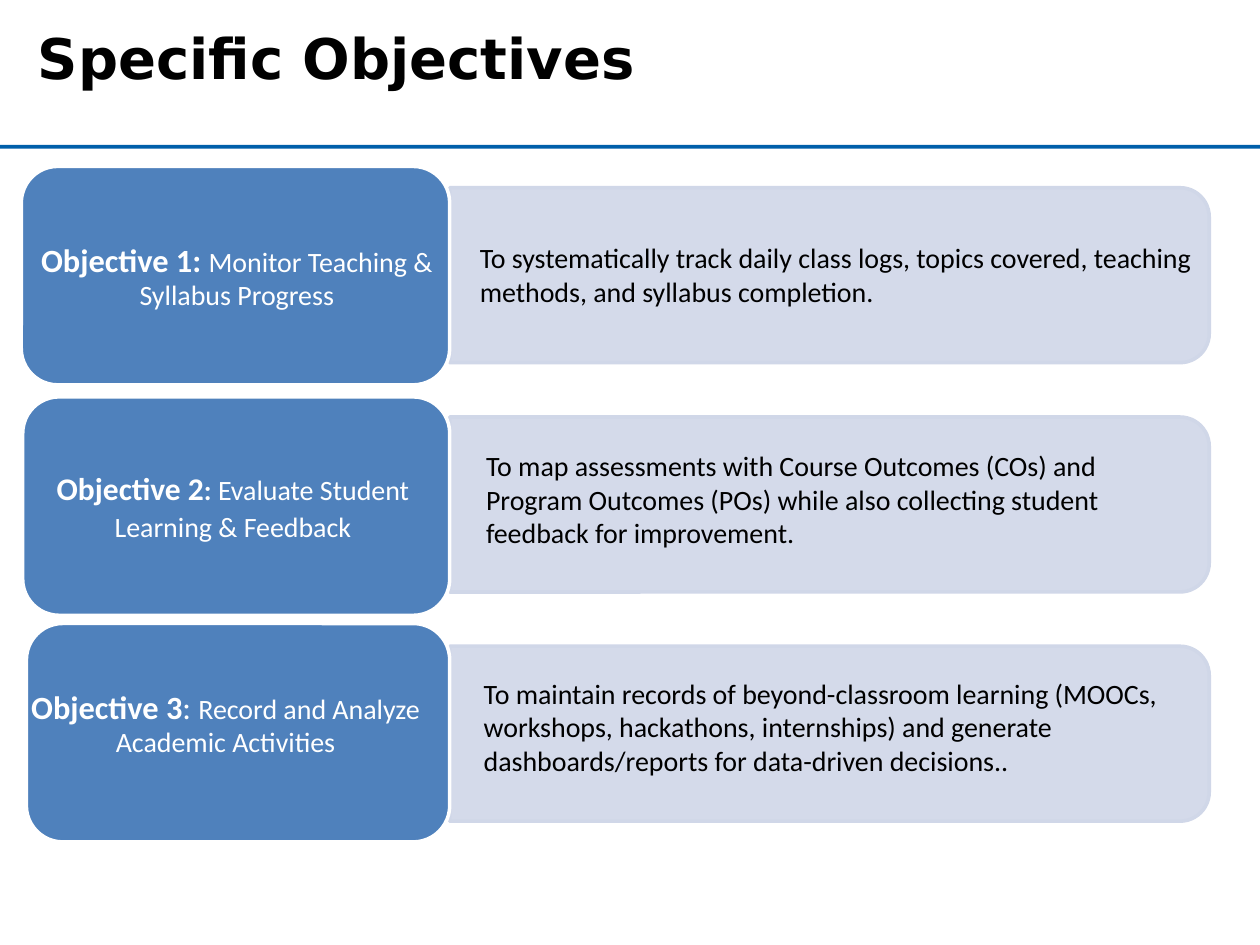
from pptx import Presentation
from pptx.dml.color import RGBColor
from pptx.enum import shapes, text
from pptx.oxml import xmlchemy
from pptx.util import Pt
from lxml import etree

INK = {"text": "000000", "light": "FFFFFF", "card": "4F81BC", "bar": "D0D7E8", "rule": "005FAA"}
KIND = shapes.MSO_SHAPE
SPLIT, PITCH, TALL = 257, 131, 100
ROWS = [
    {"card": (12.2, -12.2), "label": (18.7, 28.8, 233.3, 41.8), "note": (267.1, 26.6, 436.3, 46),
     "runs": [("Objective 1: ", 18.5, True), ("Monitor Teaching & Syllabus Progress", 16, False)],
     "lead": (0.94, 2.6),
     "body": "To systematically track daily class logs, topics covered, teaching methods, "
             "and syllabus completion."},
    {"card": (13, -11.5), "label": (19.4, 27.4, 227.5, 43.9), "note": (270.7, 14.4, 420.5, 65.5),
     "runs": [("Objective 2", 18, True), (": ", 16, True),
              ("Evaluate Student Learning & Feedback", 16, False)],
     "lead": (Pt(21), 3),
     "body": "To map assessments with Course Outcomes (COs) and Program Outcomes (POs) "
             "while also collecting student feedback for improvement."},
    {"card": (15.1, -13), "label": (13, 22.4, 231.8, 41.8), "note": (269.3, 13.7, 421.2, 65.5),
     "runs": [("Objective 3", 18.5, True), (": ", 18.5, False),
              ("Record and Analyze Academic Activities", 16, False)],
     "lead": (0.94, 2.6),
     "body": "To maintain records of beyond-classroom learning (MOOCs, workshops, hackathons, "
             "internships) and generate dashboards/reports for data-driven decisions.."},
]


def block(slide, kind, box, fill, line=None):
    """Add a filled preset shape, outlined if a line colour is given."""
    shape = slide.shapes.add_shape(kind, *map(Pt, box))
    shape.shadow.inherit = False
    shape.fill.solid()
    shape.fill.fore_color.rgb = RGBColor.from_string(INK[fill])
    if line:
        shape.line.color.rgb = RGBColor.from_string(INK[line])
        shape.line.width = Pt(2)
    else:
        shape.line.fill.background()
    return shape


def write(slide, box, runs, ink, face="Calibri", top=None):
    """Add a wrapped text box of one paragraph and return the paragraph."""
    frame = slide.shapes.add_textbox(*map(Pt, box)).text_frame
    frame.word_wrap = True
    if top is not None:
        frame.margin_left = frame.margin_right = frame.margin_bottom = 0
        frame.margin_top = Pt(top)
    para = frame.paragraphs[0]
    for words, size, bold in runs:
        run = para.add_run()
        run.text = words
        run.font.name, run.font.size, run.font.bold = face, Pt(size), bold
        run.font.color.rgb = RGBColor.from_string(INK[ink])
    return para


def header(slide, left, top, width):
    """Place the title and the rule below it."""
    para = write(slide, (left + 21.6, top + 12.2, 481, 56.2),
                 [("Specific Objectives", 32, True)], "text", "DejaVu Sans", 1.4)
    para.space_before = Pt(1.3)
    block(slide, KIND.RECTANGLE, (left, top + 82.8, width, 2.2), "rule")


def bar(slide, left, top, width, height):
    """Place a translucent band rounded at its right end."""
    shift = (width - height) / 2
    band = block(slide, KIND.ROUND_2_SAME_RECTANGLE,
                 (left + shift, top - shift, height, width), "bar", "bar")
    band.rotation = 90
    tint = band.fill._xPr.find(".//{*}srgbClr")
    etree.SubElement(tint, tint.tag.replace("srgbClr", "alpha"), val="90000")


def row(slide, left, top, item):
    """Place one objective: band, card, label and description."""
    bar(slide, left + SPLIT, top, 434, TALL)
    x, y = item["card"]
    block(slide, KIND.ROUNDED_RECTANGLE, (left + x, top + y, SPLIT - x, 124.8), "card", "light")
    x, y, *size = item["label"]
    para = write(slide, (left + x, top + y, *size), item["runs"], "light", top=2.9)
    para.alignment = text.PP_ALIGN.CENTER
    para.line_spacing, para.space_before = item["lead"][0], Pt(item["lead"][1])
    x, y, *size = item["note"]
    write(slide, (left + x, top + y, *size), [(item["body"], 16, False)], "text")


def main():
    """Build and save the slide."""
    deck = Presentation()
    deck.slide_width, deck.slide_height = Pt(720), Pt(540)
    slide = deck.slides.add_slide(deck.slide_layouts[6])
    header(slide, 0, 0, 720)
    for i, item in enumerate(ROWS):
        row(slide, 0, 107.3 + i * PITCH, item)
    deck.save("out.pptx")


if __name__ == "__main__":
    main()
